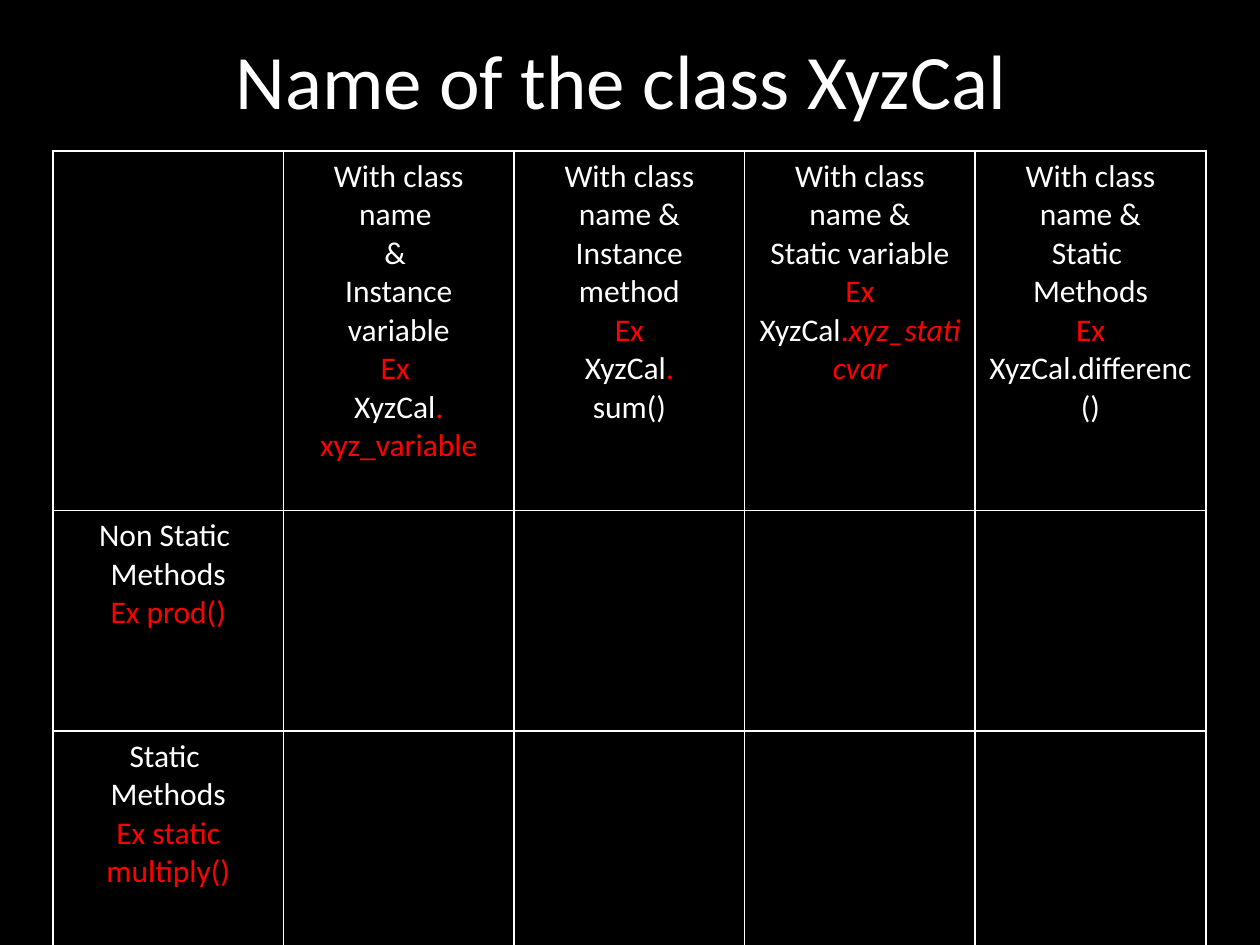
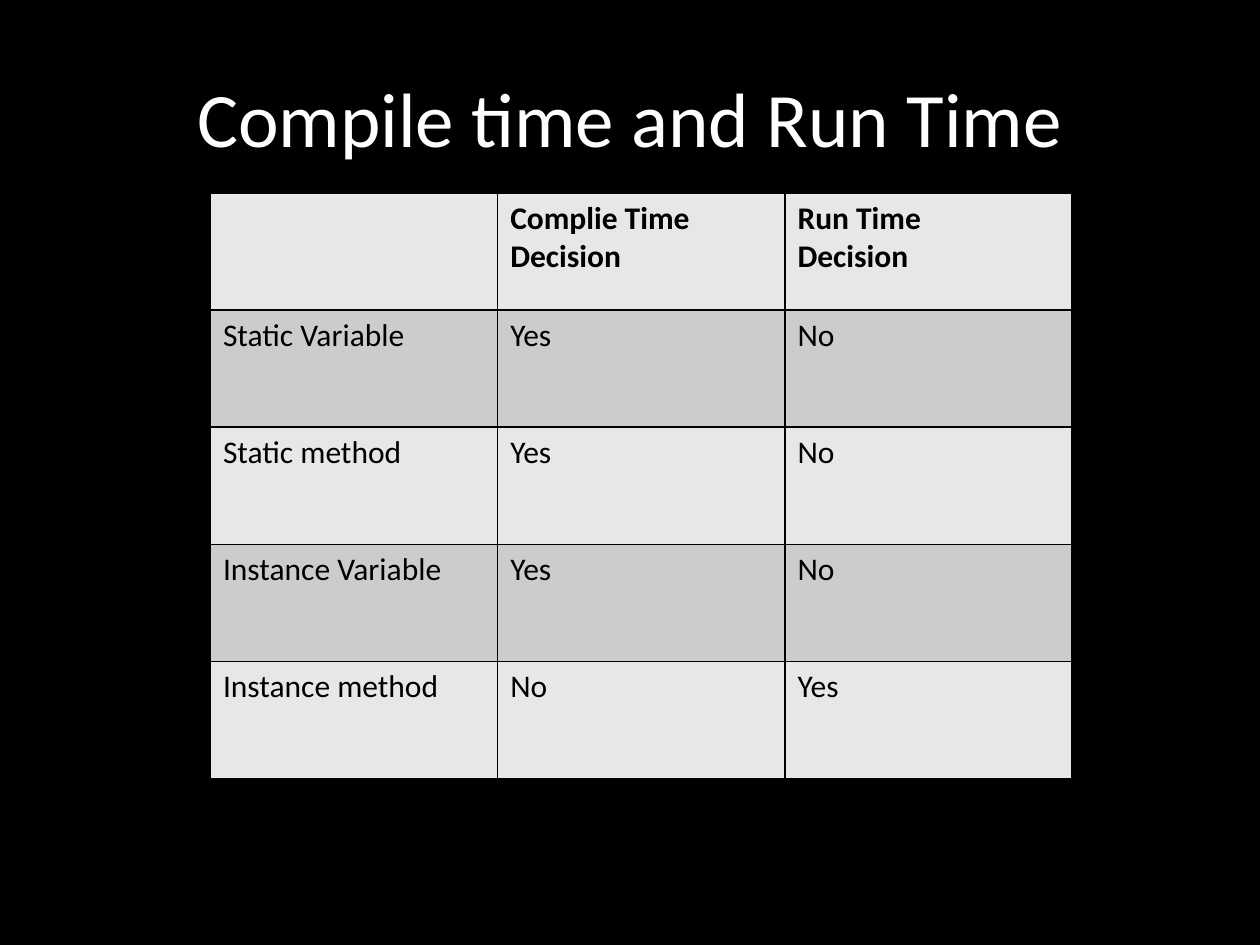
from lxml.etree import SubElement as Sub
from pptx import Presentation
from pptx.dml.color import RGBColor as RGB
from pptx.enum.text import MSO_ANCHOR as Anchor, PP_ALIGN as Align
from pptx.oxml.ns import qn
from pptx.util import Inches, Pt

FONT = "Calibri"
HUES = {"black": "000000", "white": "FFFFFF", "red": "FF0000",
        "light": "E7E7E7", "grey": "CCCCCC"}
TONES = [("white", False), ("red", False), ("red", True)]

CALLS = [
    [[],
     ["With class name ", "& ", "Instance variable", "|Ex ",
      "XyzCal|. xyz_variable"],
     ["With class name &", "Instance method", "|Ex", "XyzCal|.", "sum()"],
     ["With class name &", "Static variable", "|Ex",
      "XyzCal|.|xyz_staticvar"],
     ["With class name &", "Static ", "Methods", "|Ex",
      "XyzCal.differenc()"]],
    [["Non Static ", "Methods", "|Ex prod()"], [], [], [], []],
    [["Static ", "Methods", "|Ex static multiply()"], [], [], [], []],
]
TIMES = [
    [[], ["Complie Time", "Decision "], ["Run Time", "Decision"]],
    [["Static Variable"], ["Yes"], ["No"]],
    [["Static method "], ["Yes "], ["No"]],
    [["Instance Variable"], ["Yes"], ["No"]],
    [["Instance method"], ["No"], ["Yes"]],
]


def style(run, size, hue, bold=False, slant=False):
    """Set the font of a run."""
    font = run.font
    font.name, font.size = FONT, Pt(size)
    font.bold, font.italic = bold, slant
    font.color.rgb = RGB.from_string(HUES[hue])


def add_slide(deck, text, top):
    """Add a slide with a centred title at the given top."""
    slide = deck.slides.add_slide(deck.slide_layouts[5])
    title = slide.shapes.title
    title.left, title.top = Inches(0.5), Inches(top)
    title.width, title.height = Inches(9), Inches(1.25)
    frame = title.text_frame
    frame.text = text
    frame.vertical_anchor = Anchor.MIDDLE
    frame.paragraphs[0].alignment = Align.CENTER
    style(frame.paragraphs[0].runs[0], 44, "white")
    return slide


def add_grid(slide, left, top, wide, highs, count):
    """Add a plain table with equal columns and the given row heights."""
    grid = slide.shapes.add_table(
        len(highs), count, Inches(left), Inches(top),
        Inches(wide * count), Inches(sum(highs))).table
    grid.first_row = grid.horz_banding = False
    for col in grid.columns:
        col.width = Inches(wide)
    for row, high in zip(grid.rows, highs):
        row.height = Inches(high)
    return grid


def paint(cell, fill, edge):
    """Give a cell its borders and fill."""
    props = cell._tc.get_or_add_tcPr()
    for side in ("lnL", "lnR", "lnT", "lnB"):
        line = Sub(props, qn(f"a:{side}"), w=str(Pt(1)))
        solid = Sub(line, qn("a:solidFill"))
        Sub(solid, qn("a:srgbClr"), val=HUES[edge])
    cell.fill.solid()
    cell.fill.fore_color.rgb = RGB.from_string(HUES[fill])


def write(cell, lines, tones, align, bold=False):
    """Write lines whose bar-separated parts take successive tones."""
    frame = cell.text_frame
    for num, line in enumerate(lines):
        para = frame.add_paragraph() if num else frame.paragraphs[0]
        para.alignment = align
        for part, (hue, slant) in zip(line.split("|"), tones):
            if part:
                run = para.add_run()
                run.text = part
                style(run, 18, hue, bold, slant)


def add_calls(deck):
    """Build the slide on calls through the class name."""
    slide = add_slide(deck, "Name of the class XyzCal ", 0)
    grid = add_grid(slide, 0.42, 1.2, 1.83, [2.85, 1.75, 1.75], 5)
    for r, row in enumerate(CALLS):
        for c, lines in enumerate(row):
            cell = grid.cell(r, c)
            paint(cell, "black", "white")
            write(cell, lines, TONES, Align.CENTER)


def add_times(deck):
    """Build the slide on compile time and run time."""
    slide = add_slide(deck, "Compile time and Run Time", 0.3)
    grid = add_grid(slide, 1.67, 1.53, 2.28, [0.93] * 5, 3)
    for r, row in enumerate(TIMES):
        for c, lines in enumerate(row):
            cell = grid.cell(r, c)
            paint(cell, "grey" if r % 2 else "light", "black")
            write(cell, lines, [("black", False)], Align.LEFT, r == 0)


def main():
    """Build and save the deck."""
    deck = Presentation()
    deck.slide_width, deck.slide_height = Inches(10), Inches(7.5)
    back = deck.slide_master.background.fill
    back.solid()
    back.fore_color.rgb = RGB.from_string(HUES["black"])
    add_calls(deck)
    add_times(deck)
    deck.save("out.pptx")


main()
